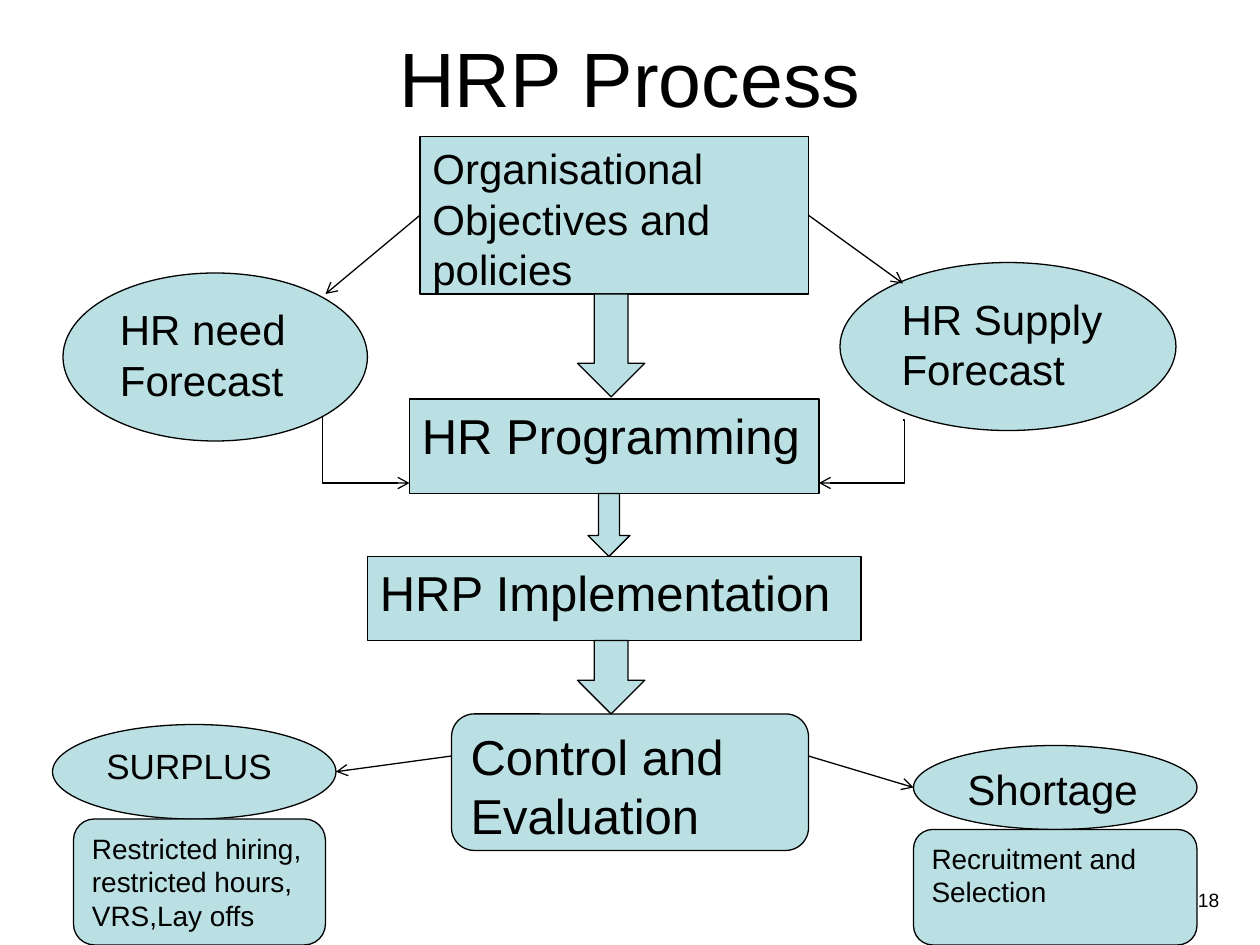
from lxml.etree import SubElement
from pptx import Presentation
from pptx.dml.color import RGBColor
from pptx.enum.shapes import MSO_CONNECTOR as LINE, MSO_SHAPE as SHAPE
from pptx.enum.text import MSO_ANCHOR, PP_ALIGN
from pptx.oxml.ns import qn
from pptx.util import Inches, Pt

# Grid of 120 columns by 90 rows, twelve to the inch
COLS, ROWS, UNIT = 120, 90, 12
FILL, INK = "BBE0E3", "000000"
TOP, LEFT, BOTTOM, RIGHT = range(4)


def grid(*nums):
    return [Inches(n / UNIT) for n in nums]


def paint(part, color):
    part.solid()
    part.fore_color.rgb = RGBColor.from_string(color)


def write(shape, text, size, align=PP_ALIGN.LEFT, anchor=MSO_ANCHOR.TOP):
    frame = shape.text_frame
    for key, val in {"word_wrap": True, "vertical_anchor": anchor}.items():
        setattr(frame, key, val)
    para = frame.paragraphs[0]
    para.text, para.alignment = text, align
    for key, val in {"name": "Arial", "size": Pt(size)}.items():
        setattr(para.font, key, val)
    para.font.color.rgb = RGBColor.from_string(INK)


def block(slide, kind, box, text="", size=24):
    shape = slide.shapes.add_shape(kind, *grid(*box))
    shape.shadow.inherit = False
    paint(shape.fill, FILL)
    paint(shape.line.fill, INK)
    shape.line.width = Pt(0.75)
    if text:
        write(shape, text, size)
    return shape


def link(slide, start, end, kind=LINE.STRAIGHT, bend=0):
    wire = slide.shapes.add_connector(kind, *grid(*start, *end))
    paint(wire.line.fill, INK)
    wire.line.width = Pt(0.75)
    props = wire.element.spPr
    SubElement(props.find(qn("a:ln")), qn("a:tailEnd"), type="arrow")
    SubElement(props, qn("a:effectLst"))
    if kind == LINE.ELBOW:
        # Turn next to the start, so the wire drops first
        guides = props.find(qn("a:prstGeom")).find(qn("a:avLst"))
        SubElement(guides, qn("a:gd"), name="adj1", fmla=f"val {bend}")
    return wire


def label(slide, box, text, size, **style):
    write(slide.shapes.add_textbox(*grid(*box)), text, size, **style)


def spine(slide, x, y):
    """Central chain of steps; returns the first step."""
    steps = [
        (SHAPE.RECTANGLE, (5, 0, 37, 15), "Organisational Objectives and policies", 24),
        (SHAPE.RECTANGLE, (4, 25, 39, 9), "HR Programming", 28),
        (SHAPE.RECTANGLE, (0, 40, 47, 8), "HRP Implementation", 28),
        (SHAPE.ROUNDED_RECTANGLE, (8, 55, 34, 13), "Control and Evaluation", 28),
    ]
    made = [block(slide, kind, (x + a, y + b, w, h), text, size)
            for kind, (a, b, w, h), text, size in steps]
    # Block arrows between steps
    for a, b, w, h in [(20, 15, 6.4, 9.8), (21, 34, 4, 6), (20, 48, 6.4, 7)]:
        block(slide, SHAPE.DOWN_ARROW, (x + a, y + b, w, h))
    return made[0]


def forecast(slide, box, text, goal, side, tip, drop, end, bend):
    """Oval fed by the goal, with an elbow on to programming."""
    x, y = box[:2]
    block(slide, SHAPE.OVAL, box, text)
    tip, drop, end = [(x + a, y + b) for a, b in (tip, drop, end)]
    link(slide, tip, tip).begin_connect(goal, side)
    link(slide, drop, end, LINE.ELBOW, bend)


def outcome(slide, box, text, size, start, inset, depth, action):
    """Oval with its action card directly below."""
    x, y, w, h = box
    block(slide, SHAPE.OVAL, box, text, size)
    near = x + w if start[0] > x else x
    link(slide, start, (near, y + h / 2))
    card = (x + inset, y + h, w - 1.5 * inset, depth)
    block(slide, SHAPE.ROUNDED_RECTANGLE, card, action, 16)


def main():
    deck = Presentation()
    deck.slide_width, deck.slide_height = grid(COLS, ROWS)
    slide = deck.slides.add_slide(deck.slide_layouts[6])
    paint(slide.background.fill, "FFFFFF")

    # Title and page number
    label(slide, (6, 3.6, 108, 7.4), "HRP Process", 44,
          align=PP_ALIGN.CENTER, anchor=MSO_ANCHOR.MIDDLE)
    label(slide, (89.3, 84, 28, 6.2), "18", 11, align=PP_ALIGN.RIGHT)

    # Process steps and forecasts
    goal = spine(slide, 35, 13)
    forecast(slide, (6, 26, 29, 16), "HR need Forecast", goal, LEFT,
             (25, 2), (24.7, 13.6), (33, 20), 0)
    forecast(slide, (80, 25, 32, 16), "HR Supply Forecast", goal, RIGHT,
             (6, 2), (6, 15), (-2, 21), -2200)

    # Outcomes of control
    outcome(slide, (5, 69, 27, 9), "SURPLUS", 20, (43, 72), 2, 12,
            "Restricted hiring, restricted hours, VRS,Lay offs")
    outcome(slide, (87, 71, 27, 8), "Shortage", 24, (77, 72), 0, 11,
            "Recruitment and Selection")
    deck.save("out.pptx")


if __name__ == "__main__":
    main()
